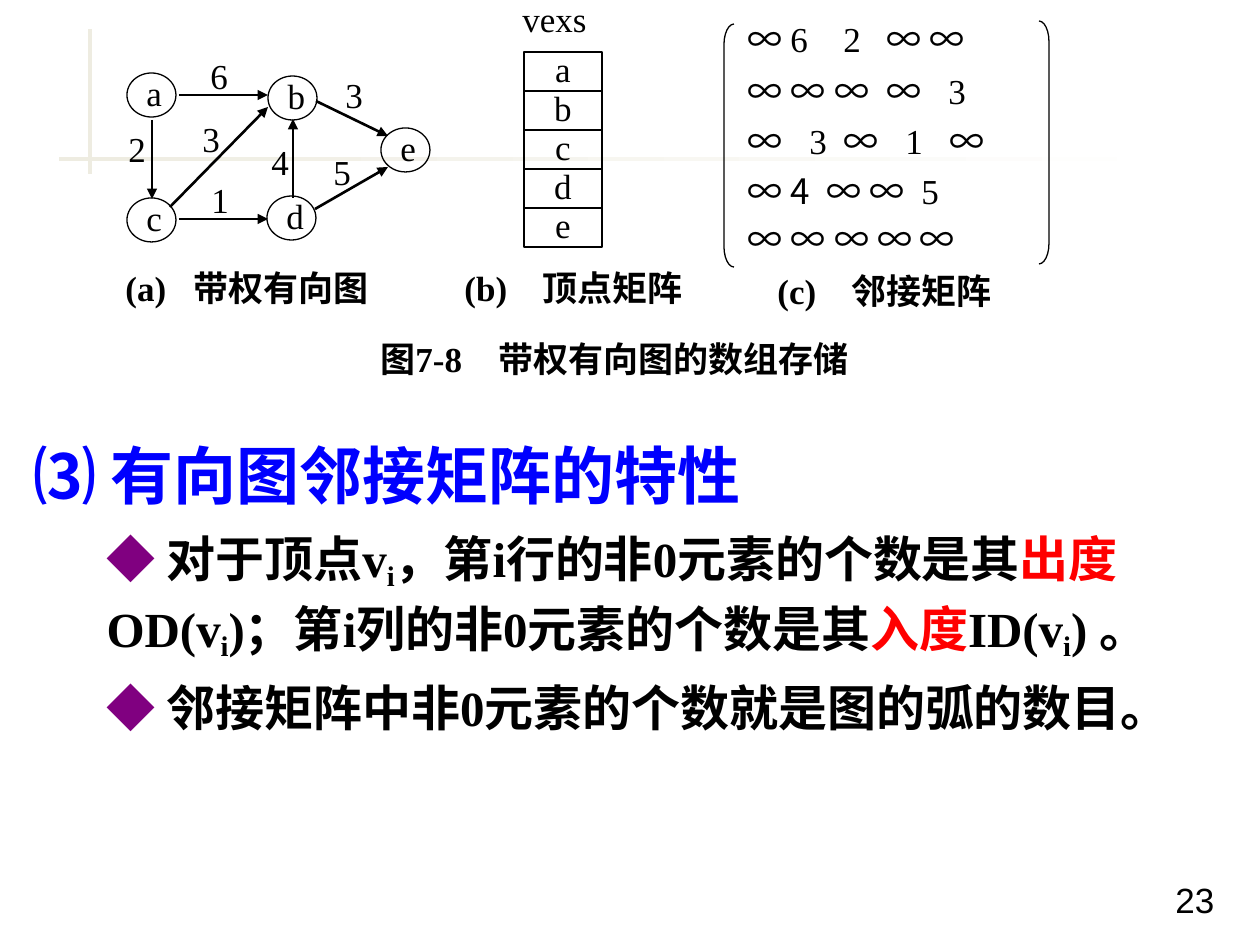
from lxml import etree
from pptx import Presentation
from pptx import util as u
from pptx.dml.color import RGBColor
from pptx.enum import shapes, text
from pptx.oxml.ns import qn

BLACK = RGBColor(0, 0, 0)
BLUE = RGBColor(0, 0, 255)
RED = RGBColor(255, 0, 0)
PURPLE = RGBColor(128, 0, 128)
BEIGE = RGBColor(0xEE, 0xEC, 0xE1)
WHITE = RGBColor(255, 255, 255)
ROMAN, CJK, ARIAL = "Times New Roman", "Noto Sans CJK SC", "Arial"

NODES = [("a", 127, 73), ("b", 268, 76), ("c", 127, 198), ("d", 267, 196), ("e", 381, 128)]
NODE_W, NODE_H = 49, 44
EDGES = [
    (152, 120, 152, 199), (293, 198, 293, 119), (179, 95, 268, 95), (179, 219, 268, 219),
    (170, 207, 268, 107), (315, 209, 388, 167), (316, 101, 388, 136),
]
WEIGHTS = [("3", 333, 78), ("5", 321, 155), ("4", 259, 145), ("1", 199, 183),
           ("2", 116, 132), ("6", 198, 59), ("3", 190, 122)]
VERTICES = "abcde"
VERTEX_X, VERTEX_Y, VERTEX_W, VERTEX_H = 524, 52, 78, 39
CAPTIONS = [
    ("(a)\t带权有向图", 113, 268, 258, 68),
    ("(b)\t顶点矩阵", 452, 268, 234, 78),
    ("(c)\t邻接矩阵", 765, 271, 233, 74),
    ("图7-8\t带权有向图的数组存储", 368, 339, 485, 118),
]
MATRIX_X, MATRIX_W = 735, 302
MATRIX = [
    (19, "∞ 6 2 ∞ ∞", (43, 96, 139, 182)),
    (71, "∞ ∞ ∞ ∞ 3", (43, 87, 139, 201)),
    (121, "∞ 3 ∞ 1 ∞", (62, 96, 158, 202)),
    (171, "∞ 4 ∞ ∞ 5", (43, 79, 122, 174)),
    (219, "∞ ∞ ∞ ∞ ∞", (43, 87, 130, 172)),
]
BRACKETS = [("LEFT_BRACKET", 724, 24), ("RIGHT_BRACKET", 1039, 21)]
SUB = "sub"
BODY = [
    (0, 36, [("⑶ ", BLUE, CJK), ("有向图邻接矩阵的特性", BLUE, ROMAN)]),
    (1, 28, [("◆ ", PURPLE, CJK), ("对于顶点v", BLACK, ROMAN), ("i", BLACK, SUB),
             ("，第i行的非0元素的个数是其", BLACK, ROMAN), ("出度", RED, ROMAN),
             ("OD(v", BLACK, ROMAN), ("i", BLACK, SUB),
             (")；第i列的非0元素的个数是其", BLACK, ROMAN), ("入度", RED, ROMAN),
             ("ID(v", BLACK, ROMAN), ("i", BLACK, SUB), (") 。", BLACK, ROMAN)]),
    (1, 28, [("◆ ", PURPLE, CJK), ("邻接矩阵中非0元素的个数就是图的弧的数目。", BLACK, ROMAN)]),
]


def px(n):
    return u.Emu(round(n * 914400 / 126))


def box(*lengths):
    return [px(n) for n in lengths]


def style(r, size, color=BLACK, name=ROMAN, bold=False):
    r.font.size, r.font.bold, r.font.name = u.Pt(size), bold, name
    r.font.color.rgb = color
    etree.SubElement(r.font._element, qn("a:ea")).set("typeface", CJK)


def write(sp, content, tabs=(), bold=False, name=ROMAN, align=text.PP_ALIGN.LEFT):
    tf = sp.text_frame
    tf.word_wrap = True
    tf.vertical_anchor = text.MSO_ANCHOR.MIDDLE
    p = tf.paragraphs[0]
    p.alignment, p.line_spacing = align, 0.9
    if tabs:
        tab_list = etree.SubElement(p._p.get_or_add_pPr(), qn("a:tabLst"))
        for stop in tabs:
            etree.SubElement(tab_list, qn("a:tab"), pos=str(px(stop)), algn="l")
    for part in content if isinstance(content, list) else [(content, name)]:
        r = p.add_run()
        r.text = part[0]
        style(r, 20, name=part[1], bold=bold)


def label(content, x, y, w, h, **options):
    sp = s.shapes.add_textbox(*box(x, y, w, h))
    write(sp, content, **options)
    sp.text_frame.margin_right = 0


def outline(kind, x, y, w, h):
    sp = s.shapes.add_shape(getattr(shapes.MSO_SHAPE, kind), *box(x, y, w, h))
    sp.shadow.inherit = False
    sp.fill.background()
    sp.line.color.rgb, sp.line.width = BLACK, u.Pt(0.75)
    return sp


def arrow(x1, y1, x2, y2):
    c = s.shapes.add_connector(shapes.MSO_CONNECTOR.STRAIGHT, *box(x1, y1, x2, y2))
    c.line.color.rgb, c.line.width = BLACK, u.Pt(1.5)
    etree.SubElement(c.line._get_or_add_ln(), qn("a:tailEnd"), type="triangle")
    etree.SubElement(c._element.spPr, qn("a:effectLst"))


prs = Presentation()
prs.slide_width, prs.slide_height = u.Inches(10), u.Inches(7.5)
s = prs.slides.add_slide(prs.slide_layouts[1])
title = s.shapes.title._element
title.getparent().remove(title)

bars = [outline("RECTANGLE", 88, 29, 4, 145), outline("RECTANGLE", 59, 157, 1134, 4)]
for bar in bars:
    bar.line.fill.background()
bars[0].fill.solid()
bars[0].fill.fore_color.rgb = BEIGE
bars[1].fill.gradient()
bars[1].fill.gradient_angle = 0
for stop, color in zip(bars[1].fill.gradient_stops, (BEIGE, WHITE)):
    stop.color.rgb = color

for caption, x, y, w, tab in CAPTIONS:
    label(caption, x, y, w, 44, tabs=[tab], bold=True)
label("vexs", 510, -1, 100, 44)
label("23", 1163, 877, 98, 50, name=ARIAL)
for i, vertex in enumerate(VERTICES):
    sp = outline("RECTANGLE", VERTEX_X, VERTEX_Y + i * VERTEX_H, VERTEX_W, VERTEX_H)
    write(sp, vertex, align=text.PP_ALIGN.CENTER)

for y, row, tabs in MATRIX:
    cells = row.split()
    runs = [(cell + ("\t" if i < len(cells) - 1 else ""), CJK if cell in "∞4" else ROMAN)
            for i, cell in enumerate(cells)]
    label(runs, MATRIX_X, y, MATRIX_W, 44, tabs=tabs)
for kind, x, y in BRACKETS:
    outline(kind, x, y, 10, 243).adjustments[0] = 2.06

for weight, x, y in WEIGHTS:
    label(weight, x, y, 39, 39)
for node, x, y in NODES:
    sp = outline("OVAL", x, y, NODE_W, NODE_H)
    write(sp, node)
    sp.text_frame.margin_right = 0
for edge in EDGES:
    arrow(*edge)

body = s.placeholders[1]
body.left, body.top, body.width, body.height = box(21, 423, 1215, 318)
tf = body.text_frame
tf.auto_size = text.MSO_AUTO_SIZE.NONE
for i, (level, size, runs) in enumerate(BODY):
    p = tf.add_paragraph() if i else tf.paragraphs[0]
    p.level, p.line_spacing = level, 1.1
    p.space_before = u.Pt(size * 0.2 if i else 0)
    pPr = p._p.get_or_add_pPr()
    pPr.set("marL", str(px(73 * level)))
    pPr.set("indent", "0")
    etree.SubElement(pPr, qn("a:buNone"))
    for content, color, name in runs:
        r = p.add_run()
        r.text = content
        style(r, size, color, ROMAN if name == SUB else name, True)
        if name == SUB:
            r.font._element.set("baseline", "-18000")

prs.save("out.pptx")
